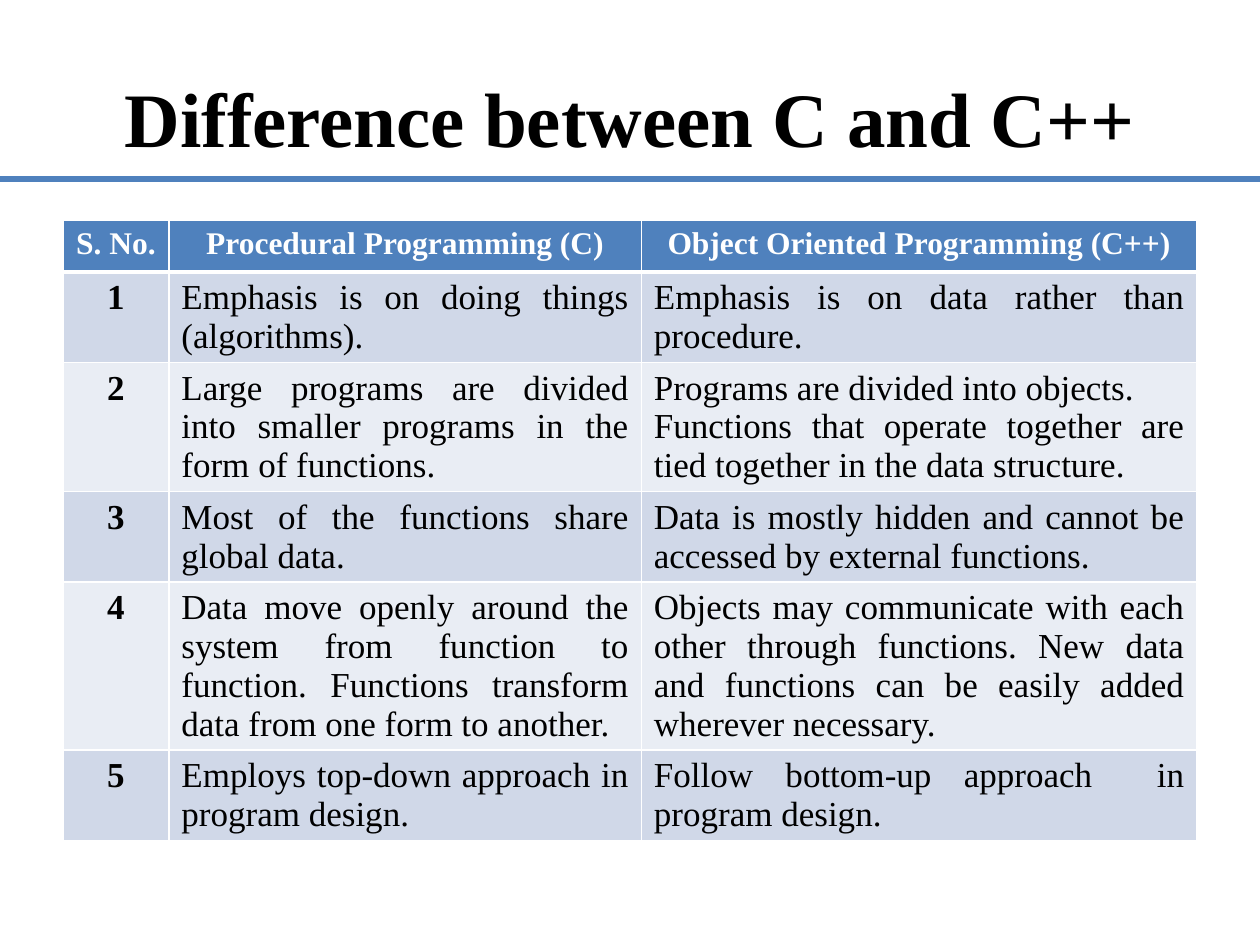
from lxml import etree
from pptx import Presentation
from pptx.dml.color import RGBColor
from pptx.enum import shapes, text
from pptx.oxml import ns
from pptx.util import Inches, Pt

TITLE = "Difference between C and C++"
HEADERS = ["S. No.", "Procedural Programming (C)", "Object Oriented Programming (C++)"]
DIFFERENCES = [
    ("Emphasis is on doing things (algorithms).",
     "Emphasis is on data rather than procedure."),
    ("Large programs are divided into smaller programs in the form of functions.",
     "Programs are divided into objects.\n"
     "Functions that operate together are tied together in the data structure."),
    ("Most of the functions share global data.",
     "Data is mostly hidden and cannot be accessed by external functions."),
    ("Data move openly around the system from function to function. "
     "Functions transform data from one form to another.",
     "Objects may communicate with each other through functions. "
     "New data and functions can be easily added wherever necessary."),
    ("Employs top-down approach in program design.",
     "Follow bottom-up approach  in program design."),
]

FONT = "Times New Roman"
BLACK = RGBColor(0x00, 0x00, 0x00)
WHITE = RGBColor(0xFF, 0xFF, 0xFF)
BLUE = RGBColor(0x4F, 0x81, 0xBD)
BANDS = [RGBColor(0xE9, 0xED, 0xF4), RGBColor(0xD0, 0xD8, 0xE8)]

WIDTH, HEIGHT = Inches(10), Inches(7.5)
MARGIN = Inches(0.5)
COLUMNS = [Inches(0.84), Inches(3.75), Inches(4.41)]
ROW_HEIGHT = Inches(0.41)
TABLE_TOP = Inches(1.75)
RULE_TOP = Inches(1.42)


def write(frame, content, size=20, bold=False, color=BLACK, align=text.PP_ALIGN.CENTER):
    frame.text = content
    for para in frame.paragraphs:
        para.alignment = align
        for span in para.runs:
            span.font.name = FONT
            span.font.size = Pt(size)
            span.font.bold = bold
            span.font.color.rgb = color


def set_borders(cell, bottom=1):
    props = cell._tc.get_or_add_tcPr()
    widths = {"a:lnL": 1, "a:lnR": 1, "a:lnT": 1, "a:lnB": bottom}
    for index, (tag, width) in enumerate(widths.items()):
        line = etree.Element(ns.qn(tag), w=str(Pt(width)))
        fill = etree.SubElement(line, ns.qn("a:solidFill"))
        etree.SubElement(fill, ns.qn("a:srgbClr"), val=str(WHITE))
        props.insert(index, line)


def add_title(page):
    title = page.shapes.title
    title.left, title.top = MARGIN, Inches(0.3)
    title.width, title.height = WIDTH - 2 * MARGIN, Inches(1.25)
    title.text_frame.vertical_anchor = text.MSO_ANCHOR.MIDDLE
    write(title.text_frame, TITLE, size=44, bold=True)


def add_comparison(page):
    rows = [HEADERS] + [(str(n), *pair) for n, pair in enumerate(DIFFERENCES, 1)]
    table = page.shapes.add_table(len(rows), len(COLUMNS), MARGIN, TABLE_TOP,
                                  sum(COLUMNS), ROW_HEIGHT * len(rows)).table
    for column, width in zip(table.columns, COLUMNS):
        column.width = width
    for r, row in enumerate(rows):
        header = r == 0
        for c, content in enumerate(row):
            cell = table.cell(r, c)
            cell.fill.solid()
            cell.fill.fore_color.rgb = BLUE if header else BANDS[r % 2]
            set_borders(cell, bottom=3 if header else 1)
            centered = header or c == 0
            write(cell.text_frame, content, size=18 if header else 20, bold=centered,
                  color=WHITE if header else BLACK,
                  align=text.PP_ALIGN.CENTER if centered else text.PP_ALIGN.JUSTIFY)


def add_rule(page):
    rule = page.shapes.add_connector(shapes.MSO_CONNECTOR.STRAIGHT, 0, RULE_TOP, WIDTH, RULE_TOP)
    rule.line.color.rgb = BLUE
    rule.line.width = Pt(3)
    etree.SubElement(rule._element.spPr, ns.qn("a:effectLst"))


def main():
    deck = Presentation()
    deck.slide_width, deck.slide_height = WIDTH, HEIGHT
    page = deck.slides.add_slide(deck.slide_layouts[5])
    add_title(page)
    add_comparison(page)
    add_rule(page)
    deck.save("out.pptx")


if __name__ == "__main__":
    main()
